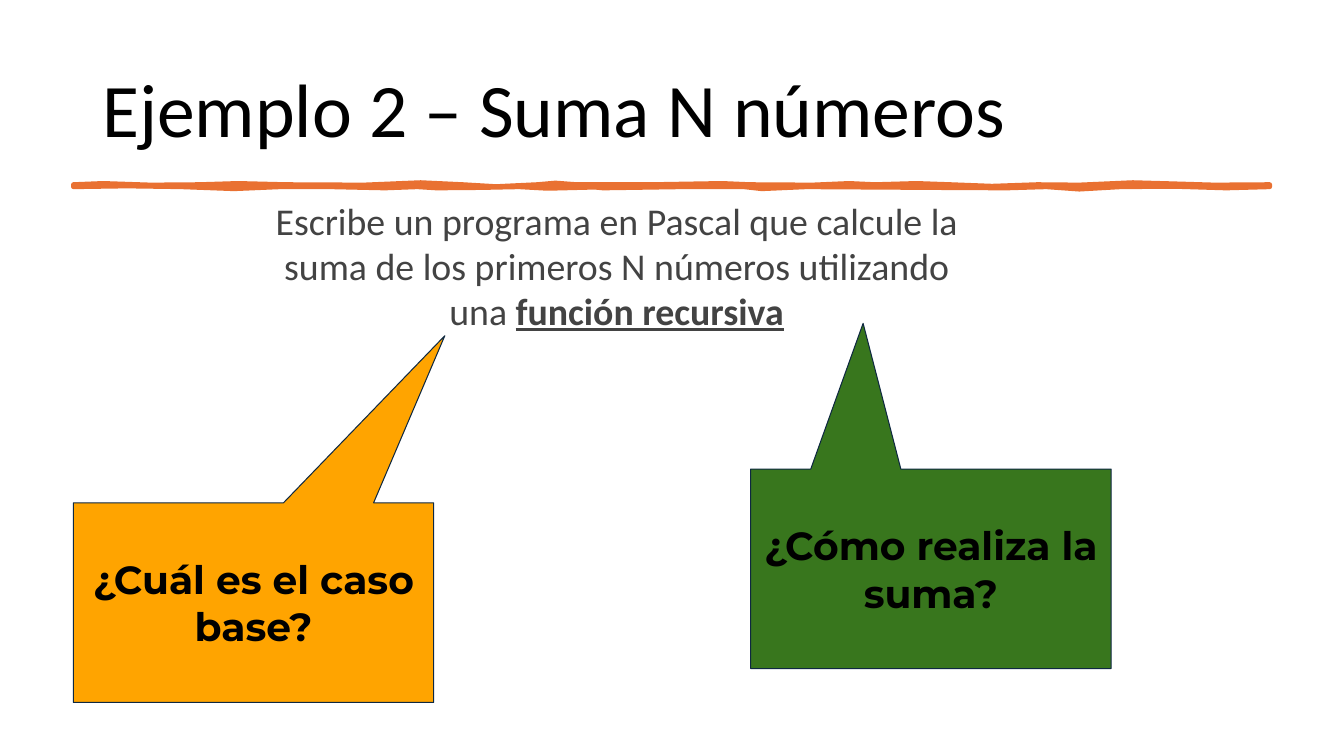
from dataclasses import dataclass

from pptx import Presentation
from pptx.dml.color import RGBColor
from pptx.enum.shapes import MSO_SHAPE as Shape
from pptx.enum.text import MSO_ANCHOR as Anchor, PP_ALIGN as Align
from pptx.util import Cm, Pt


@dataclass(frozen=True)
class Theme:
    ink: str = "000000"
    body: str = "434343"
    accent: str = "E97132"
    outline: str = "0E2841"
    orange: str = "FFA400"
    green: str = "38761D"
    text_font: str = "Calibri"
    callout_font: str = "Montserrat"
    title_size: float = 54
    body_size: float = 27
    callout_size: float = 28
    rule_width: float = 3.25
    outline_width: float = 0.75


@dataclass(frozen=True)
class Callout:
    text: str
    left: float
    top: float
    fill: str
    tip: tuple[float, float]


THEME = Theme()
CALLOUT_W, CALLOUT_H = 9.08, 5.03
CALLOUTS = [
    Callout("¿Cuál es el caso base?", 1.85, 12.67, THEME.orange, (0.531, -1.337)),
    Callout("¿Cómo realiza la suma?", 18.92, 11.82, THEME.green, (-0.188, -1.23)),
]
# Edges of the hand-drawn rule, in cm
RULE_TOP = [
    (1.85, 4.65), (2.6, 4.62), (3.8, 4.66), (5.03, 4.65), (6, 4.62), (7.21, 4.65),
    (9.17, 4.66), (10.6, 4.6), (11.66, 4.65), (12.5, 4.7), (13.54, 4.65),
    (14, 4.61), (14.53, 4.65), (16.41, 4.65), (18.2, 4.62), (18.9, 4.65),
    (20.47, 4.66), (21.4, 4.62), (22.05, 4.65), (23.1, 4.62), (23.95, 4.65),
    (25, 4.69), (26.14, 4.65), (27.2, 4.66), (28.55, 4.6), (29.6, 4.63),
    (30.6, 4.66), (32, 4.65),
]
RULE_BOTTOM = [
    (32, 4.71), (30.9, 4.74), (29.6, 4.7), (28.24, 4.71), (27.2, 4.77),
    (26.37, 4.71), (25.37, 4.74), (23.5, 4.73), (21.92, 4.72), (20.32, 4.71),
    (19.2, 4.76), (18.75, 4.71), (17.17, 4.71), (15.2, 4.74), (14.99, 4.72),
    (13.8, 4.75), (13.08, 4.71), (12.12, 4.73), (11, 4.74), (10.52, 4.71),
    (9.7, 4.74), (8.33, 4.71), (7.06, 4.71), (5.9, 4.76), (4.57, 4.71),
    (3.2, 4.69), (1.85, 4.71),
]


def rgb(colour: str) -> RGBColor:
    return RGBColor.from_string(colour)


def paint(sp, fill: str, line: str, width: float) -> None:
    sp.shadow.inherit = False
    sp.fill.solid()
    sp.fill.fore_color.rgb = rgb(fill)
    sp.line.color.rgb = rgb(line)
    sp.line.width = Pt(width)


def add_text(p, text: str, *, size: float, font: str, colour: str,
             bold: bool = False, underline: bool = False) -> None:
    r = p.add_run()
    r.text = text
    r.font.size = Pt(size)
    r.font.name = font
    r.font.color.rgb = rgb(colour)
    r.font.bold = bold
    r.font.underline = underline


def setup_frame(sp, *, anchor: Anchor, align: Align, inset_y: float = 0.25):
    """Set the frame's layout and return its first paragraph."""
    tf = sp.text_frame
    tf.word_wrap = True
    tf.vertical_anchor = anchor
    tf.margin_left = tf.margin_right = Cm(0.25)
    tf.margin_top = tf.margin_bottom = Cm(inset_y)
    p = tf.paragraphs[0]
    p.alignment = align
    return p


def add_title(s) -> None:
    sp = s.shapes.add_textbox(Cm(2.33), Cm(1.01), Cm(29.21), Cm(3.68))
    p = setup_frame(sp, anchor=Anchor.MIDDLE, align=Align.LEFT, inset_y=0.13)
    p.line_spacing = 0.9
    add_text(p, "Ejemplo 2 – Suma N números", size=THEME.title_size,
             font=THEME.text_font, colour=THEME.ink)


def add_rule(s) -> None:
    start, *rest = [(Cm(x), Cm(y)) for x, y in RULE_TOP + RULE_BOTTOM]
    builder = s.shapes.build_freeform(*start)
    builder.add_line_segments(rest, close=True)
    paint(builder.convert_to_shape(), THEME.accent, THEME.accent, THEME.rule_width)


def add_statement(s) -> None:
    sp = s.shapes.add_textbox(Cm(6.65), Cm(4.72), Cm(17.78), Cm(4.8))
    p = setup_frame(sp, anchor=Anchor.TOP, align=Align.CENTER)
    style = dict(size=THEME.body_size, font=THEME.text_font, colour=THEME.body)
    add_text(p, "Escribe un programa en Pascal que calcule la suma de los "
                "primeros N números utilizando una ", **style)
    add_text(p, "función recursiva", bold=True, underline=True, **style)


def add_callout(s, callout: Callout) -> None:
    sp = s.shapes.add_shape(Shape.ROUNDED_RECTANGULAR_CALLOUT, Cm(callout.left),
                            Cm(callout.top), Cm(CALLOUT_W), Cm(CALLOUT_H))
    for i, value in enumerate((*callout.tip, 0)):
        sp.adjustments[i] = value
    paint(sp, callout.fill, THEME.outline, THEME.outline_width)
    p = setup_frame(sp, anchor=Anchor.MIDDLE, align=Align.CENTER)
    add_text(p, callout.text, size=THEME.callout_size, font=THEME.callout_font,
             colour=THEME.ink, bold=True)


def main() -> None:
    prs = Presentation()
    prs.slide_width, prs.slide_height = Cm(33.87), Cm(19.05)
    s = prs.slides.add_slide(prs.slide_layouts[6])
    add_title(s)
    add_rule(s)
    add_statement(s)
    for callout in CALLOUTS:
        add_callout(s, callout)
    prs.save("out.pptx")


if __name__ == "__main__":
    main()
